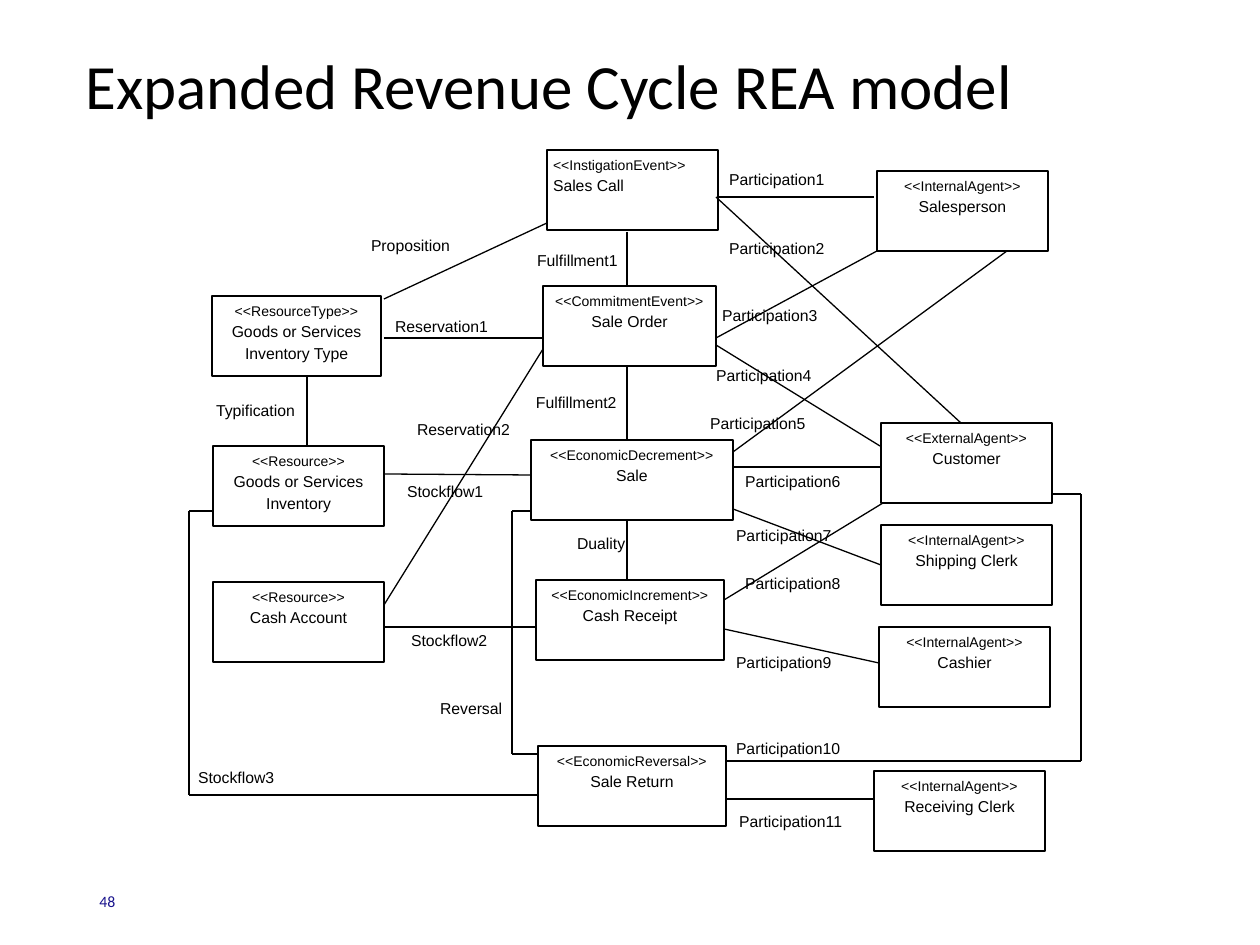
"""Build the expanded revenue cycle REA model slide."""
from dataclasses import dataclass

from lxml.etree import SubElement
from pptx import Presentation
from pptx.dml.color import RGBColor
from pptx.enum.shapes import MSO_CONNECTOR as Connector, MSO_SHAPE as Shape
from pptx.enum.text import MSO_ANCHOR as Anchor, PP_ALIGN as Align
from pptx.oxml.ns import qn
from pptx.slide import Slide
from pptx.util import Emu, Pt


def px(length):
    return Emu(round(length * 914400 / 126))


@dataclass(frozen=True)
class Theme:
    ink: RGBColor = RGBColor(0, 0, 0)
    paper: RGBColor = RGBColor(255, 255, 255)
    number: RGBColor = RGBColor(0x19, 0x13, 0x8D)
    heading_font: str = "Calibri"
    body_font: str = "Arial"
    title_size: int = 36
    body_size: int = 9
    stereotype_size: int = 8
    line_width: float = 0.75


@dataclass
class Diagram:
    slide: Slide
    theme: Theme

    def style(self, run, size, font, color):
        run.font.size = Pt(size)
        run.font.name = font
        run.font.color.rgb = color

    def title(self, text, left, top, width, height):
        shape = self.slide.shapes.title
        shape.left, shape.top, shape.width, shape.height = map(px, (left, top, width, height))
        frame = shape.text_frame
        frame.text = text
        frame.vertical_anchor = Anchor.MIDDLE
        paragraph = frame.paragraphs[0]
        paragraph.alignment = Align.LEFT
        paragraph.line_spacing = 0.9
        self.style(paragraph.runs[0], self.theme.title_size, self.theme.heading_font, self.theme.ink)

    def page_number(self, text, left, top, width, height):
        shape = self.slide.shapes.add_textbox(*map(px, (left, top, width, height)))
        frame = shape.text_frame
        frame.word_wrap = True
        frame.vertical_anchor = Anchor.MIDDLE
        frame.text = text
        run = frame.paragraphs[0].runs[0]
        self.style(run, self.theme.body_size, self.theme.heading_font, self.theme.number)

    def rectangle(self, text, bounds, side_inset, alignment):
        shape = self.slide.shapes.add_shape(Shape.RECTANGLE, *map(px, bounds))
        shape.shadow.inherit = False
        shape.fill.solid()
        shape.fill.fore_color.rgb = self.theme.paper
        frame = shape.text_frame
        frame.word_wrap = True
        frame.vertical_anchor = Anchor.TOP
        frame.margin_left = frame.margin_right = px(side_inset)
        frame.margin_top = frame.margin_bottom = px(4)
        frame.text = text
        paragraph = frame.paragraphs[0]
        paragraph.alignment = alignment
        paragraph.line_spacing = 1.15
        paragraph.space_after = Pt(10)
        for run in paragraph.runs:
            self.style(run, self.theme.body_size, self.theme.body_font, self.theme.ink)
        return shape

    def label(self, text, left, top, width, height=38):
        shape = self.rectangle(text, (left, top, width, height), 4, Align.LEFT)
        shape.line.fill.background()

    def entity(self, stereotype, name, left, top, width=171, alignment=Align.CENTER):
        text = f"<<{stereotype}>>\v{name}"
        shape = self.rectangle(text, (left, top, width, 80), 6, alignment)
        shape.line.color.rgb = self.theme.ink
        shape.line.width = Pt(self.theme.line_width)
        paragraph = shape.text_frame.paragraphs[0]
        paragraph.runs[0].font.size = Pt(self.theme.stereotype_size)
        for line_break in paragraph._p.findall(qn("a:br")):
            SubElement(line_break, qn("a:rPr"), sz=str(self.theme.stereotype_size * 100))
        return shape

    def line(self, start, end):
        connector = self.slide.shapes.add_connector(Connector.STRAIGHT, *map(px, (*start, *end)))
        connector.line.color.rgb = self.theme.ink
        connector.line.width = Pt(self.theme.line_width)
        SubElement(connector._element.spPr, qn("a:effectLst"))
        return connector

    def route(self, *points):
        for start, end in zip(points, points[1:]):
            self.line(start, end)


LABELS = [
    ("Stockflow1", 403, 475, 134), ("Stockflow2", 407, 624, 134), ("Stockflow3", 194, 761, 134),
    ("Reversal", 436, 692, 134), ("Proposition", 367, 229, 132),
    ("Reservation1", 391, 310, 145), ("Reservation2", 413, 413, 145),
    ("Duality", 573, 527, 93, 52), ("Typification", 212, 394, 134, 52),
    ("Fulfillment1", 533, 244, 158, 54), ("Fulfillment2", 532, 386, 158, 54),
]
PARTICIPATIONS = [
    (725, 163), (725, 232), (718, 299), (712, 359), (706, 407), (741, 465),
    (741 - 9, 519), (741, 567), (732, 646), (732, 732), (735, 805),
]
ENTITIES = [
    ("InstigationEvent", "Sales Call", 547, 150, 171, Align.LEFT),
    ("CommitmentEvent", "Sale Order", 543, 286, 173),
    ("EconomicDecrement", "Sale", 531, 440, 202),
    ("EconomicIncrement", "Cash Receipt", 536, 580, 188),
    ("EconomicReversal", "Sale Return", 538, 746, 188),
    ("ResourceType", "Goods or Services Inventory Type", 212, 296, 169),
    ("Resource", "Goods or Services Inventory", 213, 446),
    ("Resource", "Cash Account", 213, 582),
    ("InternalAgent", "Salesperson", 877, 171),
    ("ExternalAgent", "Customer", 881, 423),
    ("InternalAgent", "Shipping Clerk", 881, 525),
    ("InternalAgent", "Cashier", 879, 627),
    ("InternalAgent", "Receiving Clerk", 874, 771),
]
ROUTES = [
    [(384, 299), (547, 223)],
    [(384, 338), (543, 338)],
    [(384, 474), (531, 475)],
    [(384, 627), (536, 627)],
    [(384, 605), (543, 349)],
    [(307, 376), (307, 446)],
    [(718, 197), (874, 197)],
    [(716, 197), (961, 423)],
    [(716, 338), (877, 251)],
    [(716, 345), (880, 446)],
    [(733, 452), (1007, 251)],
    [(733, 467), (881, 467)],
    [(724, 600), (883, 503)],
    [(724, 629), (879, 663)],
    [(726, 799), (874, 799)],
    [(531, 511), (512, 511), (512, 754), (537, 754)],
    [(537, 795), (189, 795), (189, 511), (213, 511)],
    [(727, 761), (1081, 761), (1081, 494), (1052, 494)],
]


def main():
    presentation = Presentation()
    presentation.slide_width, presentation.slide_height = px(1260), px(945)
    slide = presentation.slides.add_slide(presentation.slide_layouts[5])
    diagram = Diagram(slide, Theme())
    diagram.title("Expanded Revenue Cycle REA model", 73, 21, 1124, 136)
    diagram.page_number("48", 87, 876, 284, 50)
    for label in LABELS:
        diagram.label(*label)
    for number, (left, top) in enumerate(PARTICIPATIONS, 1):
        diagram.label(f"Participation{number}", left, top, 132 if number == 11 else 169)
    diagram.line((627, 232), (627, 582))
    entities = {entity[1]: diagram.entity(*entity) for entity in ENTITIES}
    for points in ROUTES:
        diagram.route(*points)
    shipping = diagram.line((733, 509), (881, 565))
    shipping.end_connect(entities["Shipping Clerk"], 1)
    presentation.save("out.pptx")


if __name__ == "__main__":
    main()
